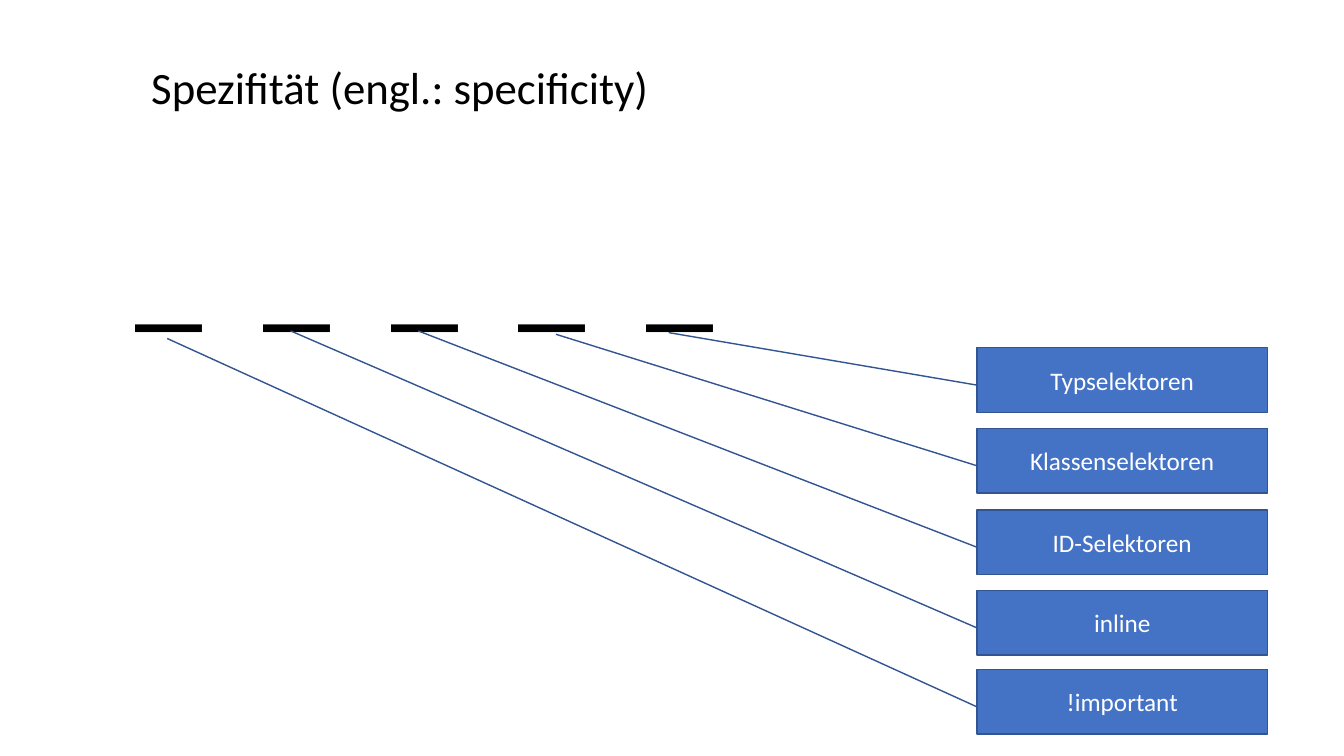
from dataclasses import dataclass

from lxml.etree import SubElement
from pptx import Presentation
from pptx.dml.color import RGBColor
from pptx.enum.shapes import MSO_SHAPE
from pptx.enum.text import MSO_ANCHOR, PP_ALIGN
from pptx.oxml.ns import qn
from pptx.util import Inches, Pt

COLUMNS, ROWS = 160, 90


@dataclass(frozen=True)
class Theme:
    font: str = "Calibri"
    ink: str = "000000"
    fill: str = "4472C4"
    outline: str = "325491"
    light: str = "FFFFFF"
    title_size: int = 32
    digit_size: int = 96
    label_size: int = 18


class SlideBuilder:
    """Places styled elements on a grid of COLUMNS by ROWS."""

    def __init__(self, deck, theme):
        self.theme = theme
        self.column = deck.slide_width / COLUMNS
        self.row = deck.slide_height / ROWS
        self.page = deck.slides.add_slide(deck.slide_layouts[5])

    def place(self, left, top, width, height):
        return (round(left * self.column), round(top * self.row),
                round(width * self.column), round(height * self.row))

    def set_text(self, box, text, size, color, align, anchor):
        frame = box.text_frame
        frame.word_wrap = True
        frame.vertical_anchor = anchor
        para = frame.paragraphs[0]
        para.text = text
        para.alignment = align
        para.font.name = self.theme.font
        para.font.size = Pt(size)
        para.font.color.rgb = RGBColor.from_string(color)
        return para

    def title(self, text, *area):
        box = self.page.shapes.title
        box.left, box.top, box.width, box.height = self.place(*area)
        self.set_text(box, text, self.theme.title_size, self.theme.ink,
                      PP_ALIGN.LEFT, MSO_ANCHOR.TOP)

    def blanks(self, count, pitch, *area):
        """A row of underscores, set apart by evenly spaced tab stops."""
        box = self.page.shapes.add_textbox(*self.place(*area))
        para = self.set_text(box, "\t".join("_" * count), self.theme.digit_size,
                             self.theme.ink, PP_ALIGN.LEFT, MSO_ANCHOR.TOP)
        properties = para._p.get_or_add_pPr()
        stops = SubElement(properties, qn("a:tabLst"))
        properties.insert(0, stops)
        for index in range(1, count):
            SubElement(stops, qn("a:tab"), algn="l",
                       pos=str(round(index * pitch * self.column)))

    def callout(self, text, tip, left, top, width, height):
        """A labelled box whose leader runs from its left edge to the tip."""
        box = self.page.shapes.add_shape(
            MSO_SHAPE.LINE_CALLOUT_1, *self.place(left, top, width, height))
        tip_column, tip_row = tip
        leader = (0.578, 0, (tip_row - top) / height, (tip_column - left) / width)
        for index, value in enumerate(leader):
            box.adjustments[index] = value
        box.shadow.inherit = False
        box.fill.solid()
        box.fill.fore_color.rgb = RGBColor.from_string(self.theme.fill)
        box.line.color.rgb = RGBColor.from_string(self.theme.outline)
        box.line.width = Pt(1)
        self.set_text(box, text, self.theme.label_size, self.theme.light,
                      PP_ALIGN.CENTER, MSO_ANCHOR.MIDDLE)


deck = Presentation()
deck.slide_width, deck.slide_height = Inches(13.33), Inches(7.5)
slide = SlideBuilder(deck, Theme())

# Five places of the specificity value
slide.blanks(5, 15.2, 15, 20.8, 119, 20.6)

# Heading
slide.title("Spezifität (engl.: specificity)", 16.8, 6.5, 120, 7.7)

# Selector kinds: label, top row, leader tip (column, row)
selectors = [
    ("Typselektoren", 41.4, (79.6, 39.6)),
    ("Klassenselektoren", 51.0, (66.2, 39.8)),
    ("ID-Selektoren", 60.7, (49.8, 39.4)),
    ("inline", 70.3, (34.6, 39.4)),
    ("!important", 79.7, (19.9, 40.3)),
]
for label, top, tip in selectors:
    slide.callout(label, tip, 116.3, top, 34.6, 7.7)

deck.save("out.pptx")
